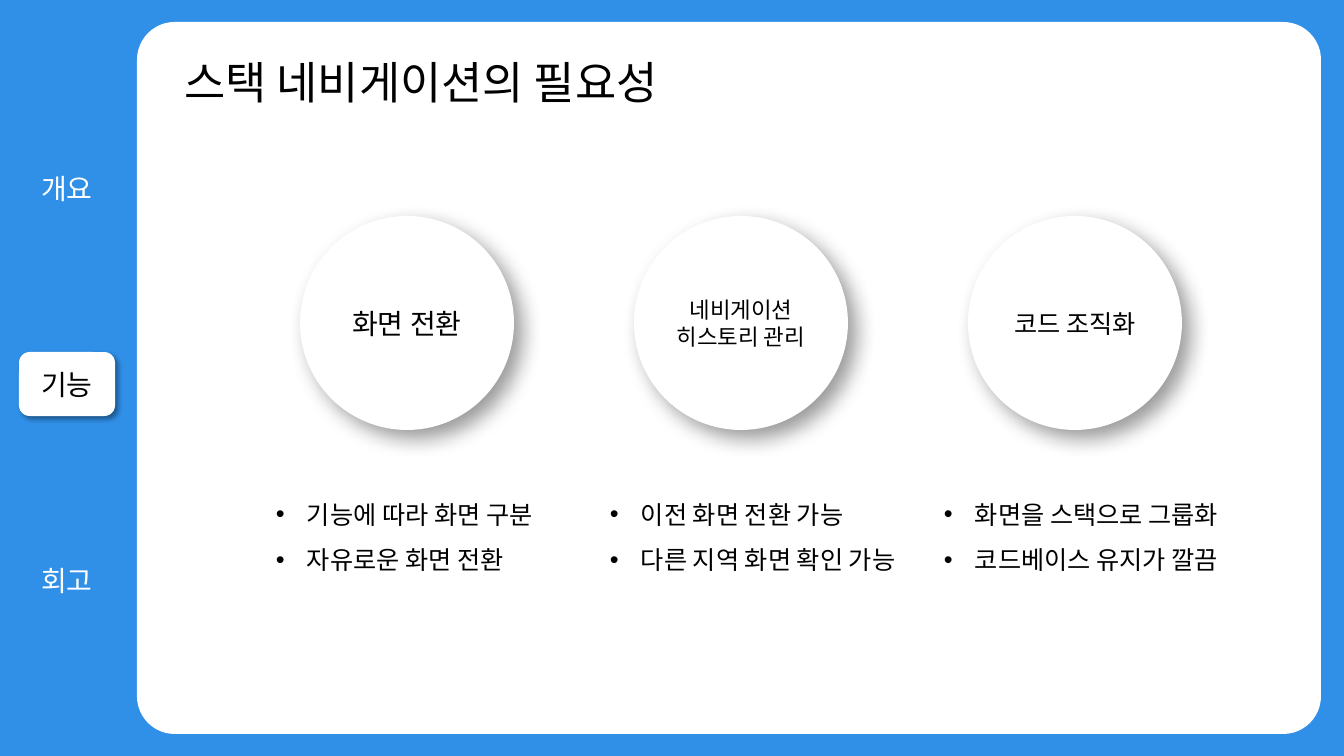
"""Build the slide on why stack navigation is needed."""
from lxml.etree import SubElement
from pptx import Presentation
from pptx.dml.color import RGBColor
from pptx.enum.shapes import MSO_SHAPE
from pptx.enum.text import MSO_ANCHOR, MSO_AUTO_SIZE, PP_ALIGN
from pptx.oxml.ns import qn
from pptx.util import Emu, Pt

COLORS = {"blue": "3090E8", "white": "FFFFFF", "black": "000000"}
FONT = "Noto Sans CJK KR"
SCALE = 914400 / 100.8


def px(*lengths):
    return [Emu(round(length * SCALE)) for length in lengths]


def write(shape, lines, size, color="black", align=PP_ALIGN.LEFT, bullets=False):
    frame = shape.text_frame
    for index, line in enumerate(lines):
        para = frame.add_paragraph() if index else frame.paragraphs[0]
        para.alignment = align
        para.line_spacing = 1.5 if bullets else 1.0
        if bullets:
            margin = px(31)[0]
            properties = para._p.get_or_add_pPr()
            properties.set("marL", str(margin))
            properties.set("indent", str(-margin))
            SubElement(properties, qn("a:buFont"), typeface="Arial")
            SubElement(properties, qn("a:buChar"), char="•")
        span = para.add_run()
        span.text = line
        span.font.size = Pt(size)
        span.font.name = FONT
        span.font.color.rgb = RGBColor.from_string(COLORS[color])
        SubElement(span.font._element, qn("a:ea"), typeface=FONT)


deck = Presentation()
deck.slide_width, deck.slide_height = px(1344, 756)
page = deck.slides.add_slide(deck.slide_layouts[5])
page.background.fill.solid()
page.background.fill.fore_color.rgb = RGBColor.from_string(COLORS["blue"])

# kind, box, filled, shadow (blur, distance), lines, size, colour
shapes = [(MSO_SHAPE.ROUNDED_RECTANGLE, (137, 22, 1184, 712), True, None, [], 0, "black")]
for index, label in enumerate(["개요", "기능", "회고"]):
    active = label == "기능"
    shapes.append((MSO_SHAPE.ROUNDED_RECTANGLE, (19, 156 + 196 * index, 96, 64), active,
                   (4, 3) if active else None, [label], 20, "black" if active else "white"))

reasons = [
    (["화면 전환"], 20, 283, ["기능에 따라 화면 구분", "자유로운 화면 전환"]),
    (["네비게이션", "히스토리 관리"], 16, 311, ["이전 화면 전환 가능", "다른 지역 화면 확인 가능"]),
    (["코드 조직화"], 18, 300, ["화면을 스택으로 그룹화", "코드베이스 유지가 깔끔"]),
]
for index, (lines, size, width, points) in enumerate(reasons):
    shapes.append((MSO_SHAPE.OVAL, (300 + 334 * index, 216, 214, 214), True, (15, 9),
                   lines, size, "black"))

for kind, place, filled, shadow, lines, size, color in shapes:
    shape = page.shapes.add_shape(kind, *px(*place))
    shape.shadow.inherit = False
    shape.line.fill.background()
    if filled:
        shape.fill.solid()
        shape.fill.fore_color.rgb = RGBColor.from_string(COLORS["white"])
    else:
        shape.fill.background()
    if shadow:
        blur, distance = shadow
        effects = shape._element.spPr.find(qn("a:effectLst"))
        outer = SubElement(effects, qn("a:outerShdw"), blurRad=str(Pt(blur)),
                           dist=str(Pt(distance)), dir="2700000", algn="tl", rotWithShape="0")
        tint = SubElement(outer, qn("a:srgbClr"), val=COLORS["black"])
        SubElement(tint, qn("a:alpha"), val="40000")
    shape.text_frame.vertical_anchor = MSO_ANCHOR.MIDDLE
    write(shape, lines, size, color, PP_ALIGN.CENTER)
page.shapes[1].adjustments[0] = 0.053

title = page.shapes.title
title.left, title.top, title.width, title.height = px(174, 50, 520, 65)
title.text_frame.vertical_anchor = MSO_ANCHOR.TOP
title.text_frame.word_wrap = False
title.text_frame.auto_size = MSO_AUTO_SIZE.SHAPE_TO_FIT_TEXT
write(title, ["스택 네비게이션의 필요성"], 32)
page.shapes._spTree.append(title._element)

for index, (lines, size, width, points) in enumerate(reasons):
    box = page.shapes.add_textbox(*px(266 + 334 * index, 479, width, 98))
    box.text_frame.word_wrap = False
    box.text_frame.auto_size = MSO_AUTO_SIZE.SHAPE_TO_FIT_TEXT
    write(box, points, 18, bullets=True)

deck.save("out.pptx")
